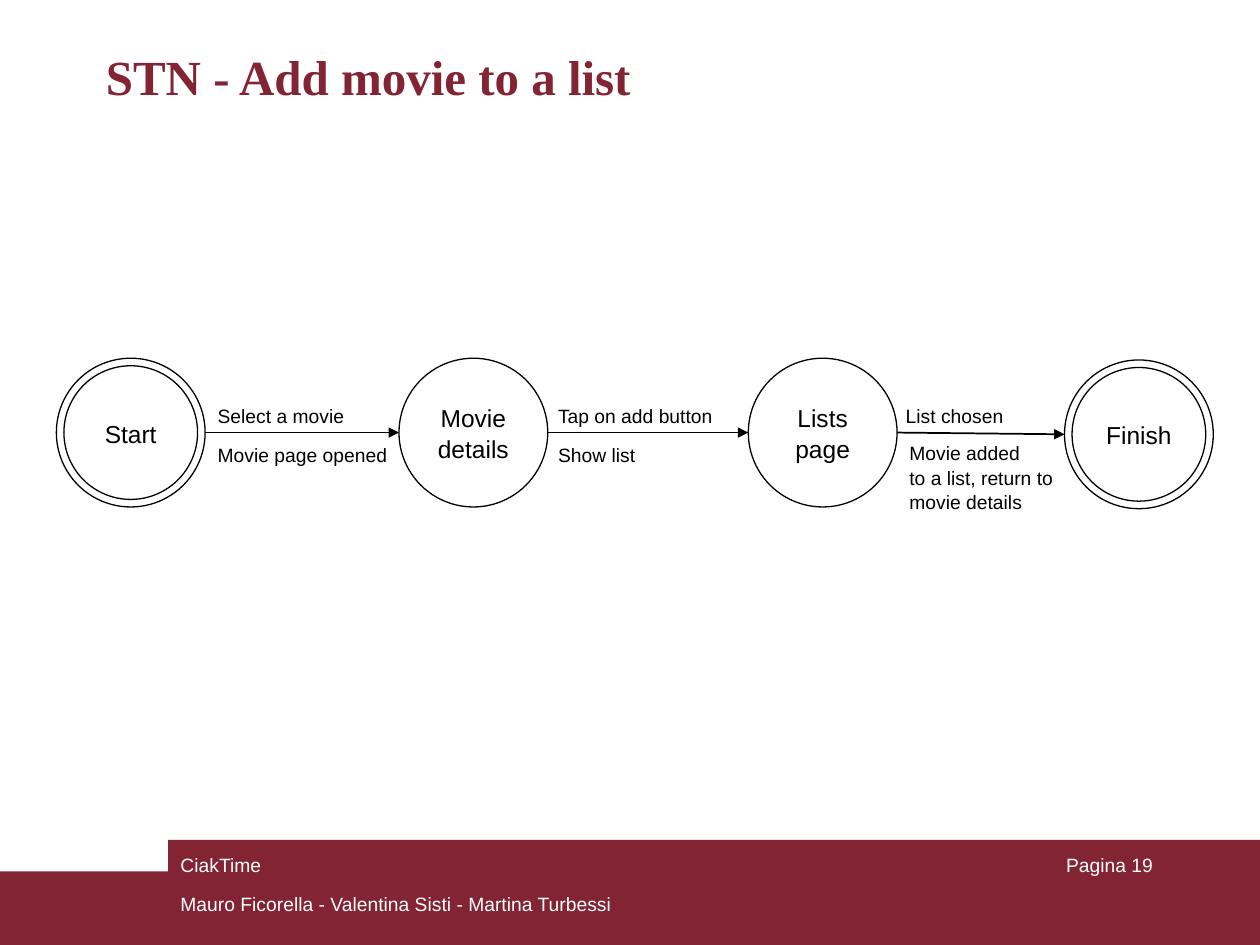
import pptx
import pptx.util
import pptx.dml.color
import pptx.enum.shapes
import pptx.enum.text
import lxml.etree

Pt = pptx.util.Pt
Align = pptx.enum.text.PP_ALIGN
Anchor = pptx.enum.text.MSO_ANCHOR
Shape = pptx.enum.shapes.MSO_SHAPE
MAROON = pptx.dml.color.RGBColor(0x82, 0x24, 0x33)
BLACK = pptx.dml.color.RGBColor(0, 0, 0)
WHITE = pptx.dml.color.RGBColor(255, 255, 255)

TITLE_FONT = {"name": "Times New Roman", "size": Pt(28), "bold": True}
NODE_FONT = {"name": "Arial", "size": Pt(14)}
SMALL_FONT = {"name": "Arial", "size": Pt(11)}

DIAMETER = 85
RING_GAP = 4.3
LINE_SPACING = 1.06

# State name, left edge, centre height, double ring
STATES = [
    ("Start", 32.2, 247.2, True),
    ("Movie details", 228, 247.2, False),
    ("Lists page", 427.6, 247.2, False),
    ("Finish", 608.3, 248.2, True),
]

# Left of action, action, left of result, result, result height
TRANSITIONS = [
    (117.3, "Select a movie", 117.3, "Movie page opened", 20.6),
    (311.8, "Tap on add button", 311.8, "Show list", 20.6),
    (510.5, "List chosen", 512.6,
     "Movie added\nto a list, return to movie details", 47),
]


def write_text(shape, text, font, color, align=Align.LEFT,
               anchor=Anchor.TOP, spacing=1.0):
    frame = shape.text_frame
    frame.text = text
    frame.word_wrap = True
    frame.auto_size = pptx.enum.text.MSO_AUTO_SIZE.NONE
    frame.vertical_anchor = anchor
    for para in frame.paragraphs:
        para.alignment = align
        para.line_spacing = spacing
        for name, value in font.items():
            setattr(para.font, name, value)
        para.font.color.rgb = color


def add_text(page, left, top, width, height, text, color, **layout):
    box = page.shapes.add_textbox(Pt(left), Pt(top), Pt(width), Pt(height))
    write_text(box, text, SMALL_FONT, color, **layout)


def add_band(page, left, top, width, height):
    band = page.shapes.add_shape(Shape.RECTANGLE, Pt(left), Pt(top),
                                 Pt(width), Pt(height))
    band.shadow.inherit = False
    band.fill.solid()
    band.fill.fore_color.rgb = MAROON
    band.line.fill.background()


def add_circle(page, left, middle, diameter):
    circle = page.shapes.add_shape(Shape.OVAL, Pt(left),
                                   Pt(middle - diameter / 2),
                                   Pt(diameter), Pt(diameter))
    circle.shadow.inherit = False
    circle.fill.background()
    circle.line.color.rgb = BLACK
    circle.line.width = Pt(0.75)
    return circle


def add_state(page, name, left, middle, double):
    circle = add_circle(page, left, middle, DIAMETER)
    if double:
        circle = add_circle(page, left + RING_GAP, middle,
                            DIAMETER - 2 * RING_GAP)
    write_text(circle, name, NODE_FONT, BLACK, align=Align.CENTER,
               anchor=Anchor.MIDDLE, spacing=LINE_SPACING)


def add_arrow(page, x1, y1, x2, y2):
    arrow = page.shapes.add_connector(
        pptx.enum.shapes.MSO_CONNECTOR.STRAIGHT,
        Pt(x1), Pt(y1), Pt(x2), Pt(y2))
    arrow.line.color.rgb = BLACK
    arrow.line.width = Pt(1)
    namespace = pptx.oxml.ns.qn
    lxml.etree.SubElement(arrow.line._get_or_add_ln(), namespace("a:tailEnd"),
                          type="triangle")
    lxml.etree.SubElement(arrow._element.spPr, namespace("a:effectLst"))


def add_title(page, text):
    title = page.shapes.title
    title.left, title.top = Pt(53.3), Pt(20.2)
    title.width, title.height = Pt(614), Pt(46)
    write_text(title, text, TITLE_FONT, MAROON, anchor=Anchor.MIDDLE)


def main():
    deck = pptx.Presentation()
    deck.slide_width, deck.slide_height = Pt(720), Pt(540)
    page = deck.slides.add_slide(deck.slide_layouts[5])

    # Footer bands and title
    add_band(page, 0, 498, 720, 42)
    add_band(page, 96, 480, 624, 60)
    add_title(page, "STN - Add movie to a list")

    # Footer text
    add_text(page, 516, 484, 150, 36, "Pagina 19", WHITE, align=Align.RIGHT)
    add_text(page, 96, 484, 228, 36, "CiakTime", WHITE)
    add_text(page, 96, 506.3, 267, 20.6,
             "Mauro Ficorella - Valentina Sisti - Martina Turbessi", WHITE)

    # States and the arrows between them
    for state in STATES:
        add_state(page, *state)
    for (_, left, y1, _), (_, right, y2, _) in zip(STATES, STATES[1:]):
        add_arrow(page, left + DIAMETER, y1, right, y2)

    # Action above and result below each arrow
    label = {"anchor": Anchor.MIDDLE, "spacing": LINE_SPACING}
    for action_left, action, result_left, result, height in TRANSITIONS:
        add_text(page, action_left, 226.8, 111, 20.6, action, BLACK, **label)
        add_text(page, result_left, 249.1, 116.5, height, result, BLACK,
                 **label)

    deck.save("out.pptx")


if __name__ == "__main__":
    main()
